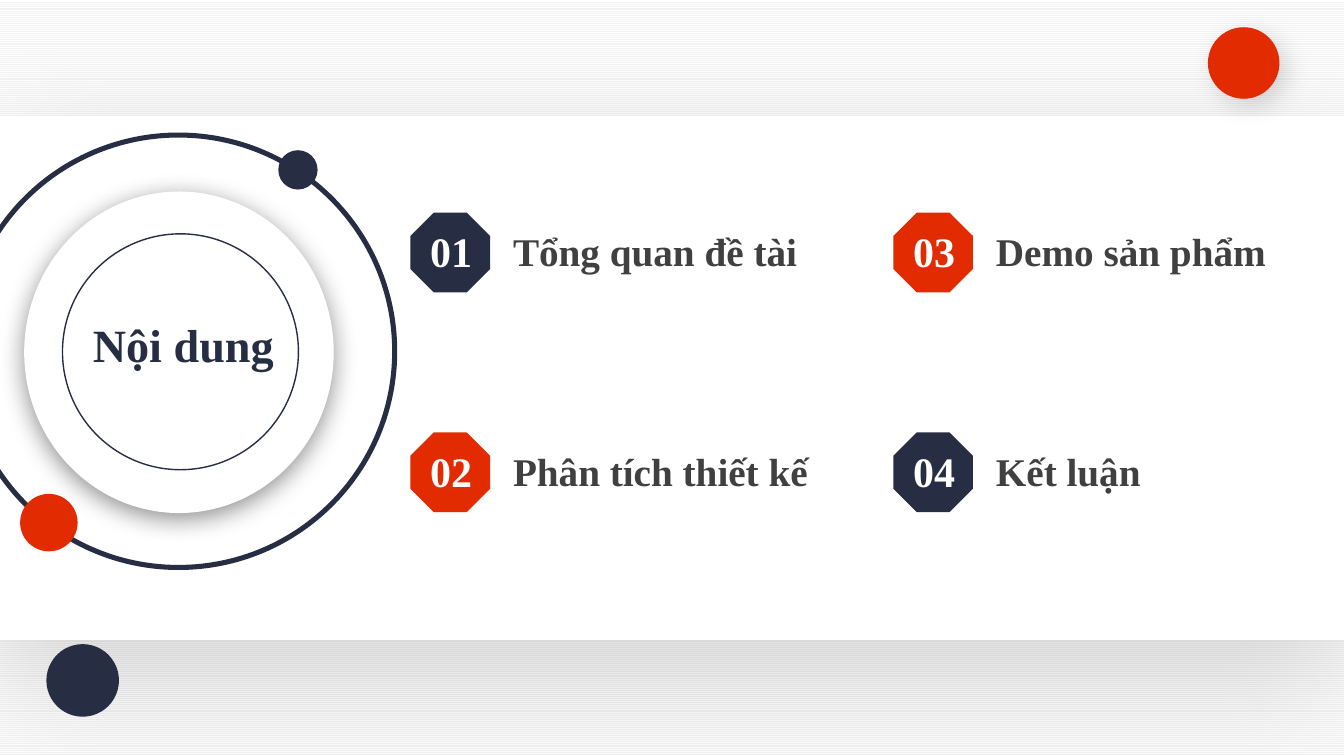
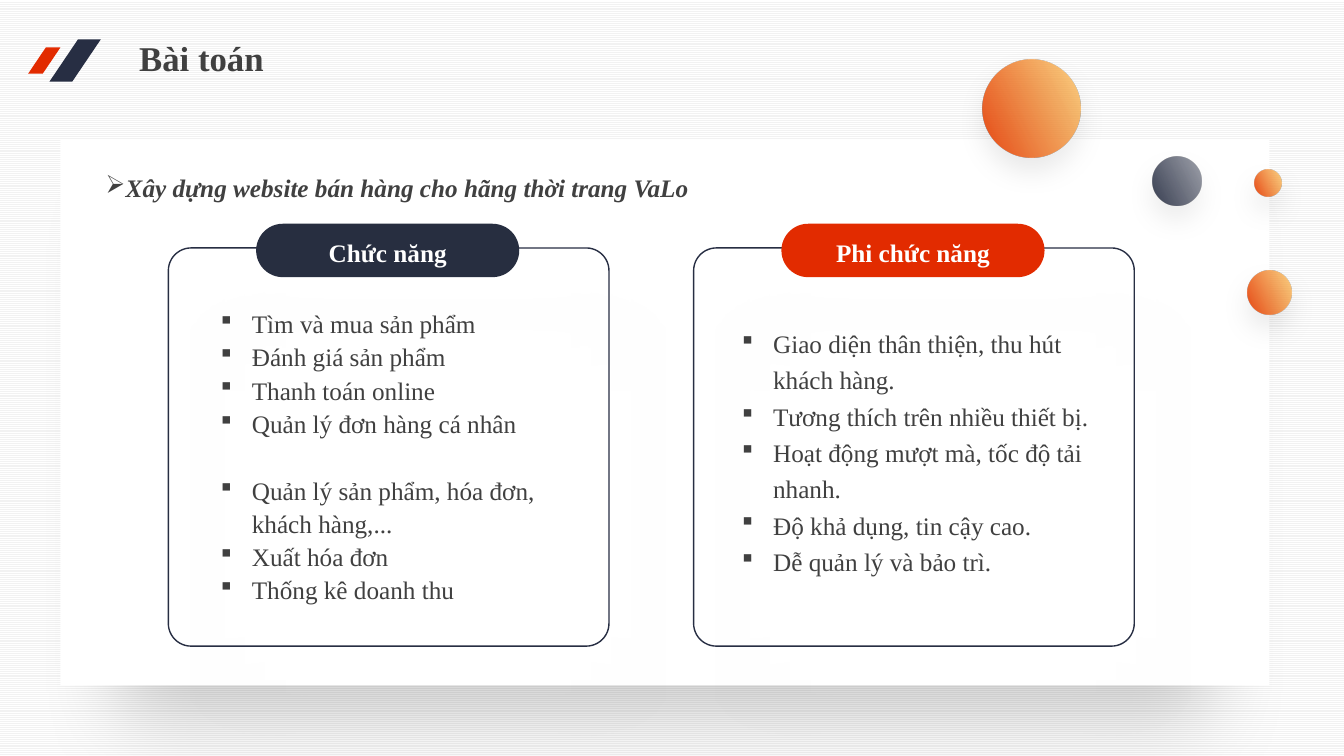
from math import acos, cos, pi, sin, tan

from lxml.etree import SubElement
from pptx import Presentation
from pptx.dml.color import RGBColor
from pptx.enum.dml import MSO_PATTERN as Pattern
from pptx.enum.shapes import MSO_SHAPE as Preset
from pptx.enum.text import MSO_ANCHOR as Anchor, PP_ALIGN as Align
from pptx.oxml.ns import qn
from pptx.util import Inches, Pt

NAVY, INK, RED, WHITE, GREY = "272E43", "272E40", "E22B00", "FFFFFF", "404040"
PALE_GREY, YELLOW, SLATE = "F2F2F2", "FFD966", "515667"
FONT = "Times New Roman"
BULLET_FONT, SQUARE, ARROW = "Wingdings", "§", "Ø"
TITLE_ONLY = 5


def color(value):
    return RGBColor.from_string(value)


def arc_points(center_x, center_y, radius, angles):
    def point(angle, slope=0):
        return (Inches(center_x + radius * (cos(angle) - slope * sin(angle))),
                Inches(center_y + radius * (sin(angle) + slope * cos(angle))))

    points = [point(angles[0])]
    for start, end in zip(angles, angles[1:]):
        slope = 4 / 3 * tan((end - start) / 4)
        points += [point(start, slope), point(end, -slope), point(end)]
    return points


class Deck:
    def __init__(self):
        self.presentation = Presentation()
        self.presentation.slide_width = Inches(13.33)
        self.presentation.slide_height = Inches(7.5)
        self.slide = None

    def new_slide(self):
        layout = self.presentation.slide_layouts[TITLE_ONLY]
        self.slide = self.presentation.slides.add_slide(layout)
        fill = self.slide.background.fill
        fill.patterned()
        fill.pattern = Pattern.LIGHT_HORIZONTAL
        fill.fore_color.rgb = color(PALE_GREY)
        fill.back_color.rgb = color(WHITE)

    def title(self, text, box, size, ink, spacing=1.0):
        title = self.slide.shapes.title
        title.left, title.top, title.width, title.height = map(Inches, box)
        title.element.getparent().append(title.element)
        frame = title.text_frame
        frame.word_wrap = True
        frame.vertical_anchor = Anchor.TOP
        paragraph = frame.paragraphs[0]
        paragraph.alignment = Align.LEFT
        paragraph.line_spacing = spacing
        self.run(paragraph, text, size, ink, bold=True)

    def run(self, paragraph, text, size, ink, bold=False, italic=False):
        run = paragraph.add_run()
        run.text = text
        font = run.font
        font.name, font.size = FONT, Pt(size)
        font.bold, font.italic = bold, italic
        font.color.rgb = color(ink)

    def paint(self, shape, fill=None, line=None, shadow=None):
        if fill:
            shape.fill.solid()
            shape.fill.fore_color.rgb = color(fill)
        else:
            shape.fill.background()
        if line:
            shape.line.color.rgb = color(line)
            shape.line.width = Pt(1)
        else:
            shape.line.fill.background()
        shape.shadow.inherit = False
        if shadow:
            self.cast_shadow(shape, *shadow)

    def cast_shadow(self, shape, opacity, blur, distance, angle, scale=100):
        effects = shape.element.xpath("./p:spPr/a:effectLst")[0]
        outer = SubElement(
            effects, qn("a:outerShdw"), blurRad=str(Pt(blur)),
            dist=str(Pt(distance)), dir=str(angle * 60000),
            sx=str(scale * 1000), sy=str(scale * 1000),
            algn="ctr", rotWithShape="0")
        black = SubElement(outer, qn("a:srgbClr"), val="000000")
        SubElement(black, qn("a:alpha"), val=str(opacity * 1000))

    def shape(self, preset, box, fill=None, line=None, shadow=None, adjust=None):
        shape = self.slide.shapes.add_shape(preset, *map(Inches, box))
        if adjust is not None:
            shape.adjustments[0] = adjust
        self.paint(shape, fill, line, shadow)
        return shape

    def label(self, preset, box, fill, text, size, margins, adjust=None):
        shape = self.shape(preset, box, fill, adjust=adjust)
        frame = shape.text_frame
        (frame.margin_left, frame.margin_top,
         frame.margin_right, frame.margin_bottom) = map(Inches, margins)
        frame.vertical_anchor = Anchor.MIDDLE
        paragraph = frame.paragraphs[0]
        paragraph.alignment = Align.CENTER
        self.run(paragraph, text, size, WHITE, bold=True)

    def text_frame(self, box):
        frame = self.slide.shapes.add_textbox(*map(Inches, box)).text_frame
        frame.word_wrap = True
        return frame

    def text(self, text, box, size):
        paragraph = self.text_frame(box).paragraphs[0]
        self.run(paragraph, text, size, GREY, bold=True)

    def bullets(self, groups, box, spacing, mark=SQUARE, indent=0.31, strong=False):
        frame = self.text_frame(box)
        paragraph = None
        for number, group in enumerate(groups):
            for position, text in enumerate(group):
                paragraph = frame.add_paragraph() if paragraph else frame.paragraphs[0]
                paragraph.line_spacing = spacing
                if number and position == 0:
                    paragraph.space_before = Pt(24)
                properties = paragraph._p.get_or_add_pPr()
                properties.set("marL", str(Inches(indent)))
                properties.set("indent", str(-Inches(indent)))
                SubElement(properties, qn("a:buFont"), typeface=BULLET_FONT,
                           pitchFamily="2", charset="2")
                SubElement(properties, qn("a:buChar"), char=mark)
                self.run(paragraph, text, 18, GREY, bold=strong, italic=strong)

    def bubble(self, left, top, size, start, end, opacity):
        shape = self.shape(Preset.OVAL, (left, top, size, size),
                           shadow=(10, 20, 10, 90))
        shape.rotation = 116.2
        shape.fill.gradient()
        shape.fill.gradient_angle = 142
        first, last = shape.fill.gradient_stops
        first.position, last.position = 0.01, 1
        first.color.rgb, last.color.rgb = color(start), color(end)
        tint = shape.element.xpath(".//a:gs[last()]/a:srgbClr")[0]
        SubElement(tint, qn("a:alpha"), val=str(opacity * 1000))

    def cut_ring(self, center_x, center_y, outer, inner, fill):
        points = []
        for radius, direction in ((outer, 1), (inner, -1)):
            limit = acos(-center_x / radius)
            angles = [direction * angle
                      for angle in (-limit, -pi / 2, 0, pi / 2, limit)]
            points += arc_points(center_x, center_y, radius, angles)
        builder = self.slide.shapes.build_freeform(*points[0])
        builder.add_line_segments(points[1:], close=True)
        shape = builder.convert_to_shape()
        self.bend(shape)
        self.paint(shape, fill)

    def bend(self, shape):
        lines = shape.element.xpath(".//a:path/a:lnTo")
        half = len(lines) // 2
        for side in (lines[:half], lines[half + 1:]):
            for first, second, third in zip(side[::3], side[1::3], side[2::3]):
                first.tag = qn("a:cubicBezTo")
                for line in (second, third):
                    first.append(line[0])
                    line.getparent().remove(line)


def build_contents(deck):
    deck.new_slide()
    deck.shape(Preset.RECTANGLE, (0, 1.15, 13.33, 5.2), WHITE,
               shadow=(15, 90, 30, 90))
    deck.cut_ring(1.77, 3.485, 2.17, 2.12, NAVY)
    deck.shape(Preset.OVAL, (2.76, 1.49, 0.39, 0.39), NAVY)
    deck.shape(Preset.OVAL, (0.2, 4.9, 0.57, 0.57), RED)
    deck.shape(Preset.OVAL, (0.24, 1.9, 3.07, 3.19), WHITE,
               shadow=(43, 18, 4, 90))
    deck.shape(Preset.OVAL, (0.62, 2.32, 2.34, 2.34), line=NAVY)
    deck.title("Nội dung", (0.82, 3.09, 2.74, 0.96), 33, NAVY)

    topics = ("Tổng quan đề tài", "Phân tích thiết kế",
              "Demo sản phẩm", "Kết luận")
    for index, topic in enumerate(topics):
        column, row = divmod(index, 2)
        left, top = 4.07 + 4.79 * column, 2.11 + 2.18 * row
        fill = NAVY if column == row else RED
        deck.label(Preset.OCTAGON, (left, top, 0.79, 0.79), fill,
                   f"{index + 1:02}", 30, (0.02, 0, 0, 0.03))
        deck.text(topic, (left + 0.92, top + 0.1, 3.3, 0.56), 28)

    deck.shape(Preset.OVAL, (11.98, 0.27, 0.71, 0.71), RED,
               shadow=(15, 18, 7, 45))
    deck.shape(Preset.OVAL, (0.46, 6.39, 0.72, 0.72), NAVY)


def build_problem(deck):
    deck.new_slide()
    deck.shape(Preset.RECTANGLE, (0.6, 1.39, 11.99, 5.41), WHITE,
               shadow=(20, 60, 40, 90, 90))
    deck.shape(Preset.PARALLELOGRAM, (0.28, 0.47, 0.32, 0.26), RED, adjust=0.675)
    deck.shape(Preset.PARALLELOGRAM, (0.49, 0.39, 0.51, 0.42), NAVY, adjust=0.675)
    deck.title("Bài toán", (1.28, 0.39, 2.01, 0.45), 24.8, GREY, spacing=0.8)

    warm, cool = (RED, YELLOW, 70), (NAVY, SLATE, 46)
    for left, top, size, tones in (
            (9.75, 0.59, 0.97, warm), (11.43, 1.55, 0.49, cool),
            (12.44, 1.68, 0.27, warm), (12.37, 2.68, 0.44, warm)):
        deck.bubble(left, top, size, *tones)

    deck.bullets([["Xây dựng website bán hàng cho hãng thời trang VaLo"]],
                 (0.95, 1.6, 6.33, 0.59), 1.2, mark=ARROW, indent=0.19, strong=True)

    functions = [
        ["Tìm và mua sản phẩm", "Đánh giá sản phẩm", "Thanh toán online",
         "Quản lý đơn hàng cá nhân"],
        ["Quản lý sản phẩm, hóa đơn, khách hàng,...", "Xuất hóa đơn",
         "Thống kê doanh thu"],
    ]
    qualities = [
        ["Giao diện thân thiện, thu hút khách hàng.",
         "Tương thích trên nhiều thiết bị.",
         "Hoạt động mượt mà, tốc độ tải nhanh.",
         "Độ khả dụng, tin cậy cao.", "Dễ quản lý và bảo trì."],
    ]
    for left, heading, fill, groups, box, spacing in (
            (1.67, "Chức năng", INK, functions, (2.09, 2.98, 3.67, 3.25), 1.1),
            (6.88, "Phi chức năng", RED, qualities, (7.26, 3.15, 3.99, 3.25), 1.2)):
        deck.shape(Preset.ROUNDED_RECTANGLE, (left, 2.46, 4.37, 3.95), line=NAVY,
                   shadow=(15, 60, 55, 60), adjust=0.057)
        deck.label(Preset.ROUNDED_RECTANGLE, (left + 0.87, 2.22, 2.61, 0.53), fill,
                   heading, 18, (0, 0.04, 0, 0), adjust=0.5)
        deck.bullets(groups, box, spacing)


def main():
    deck = Deck()
    build_contents(deck)
    build_problem(deck)
    deck.presentation.save("out.pptx")


if __name__ == "__main__":
    main()
